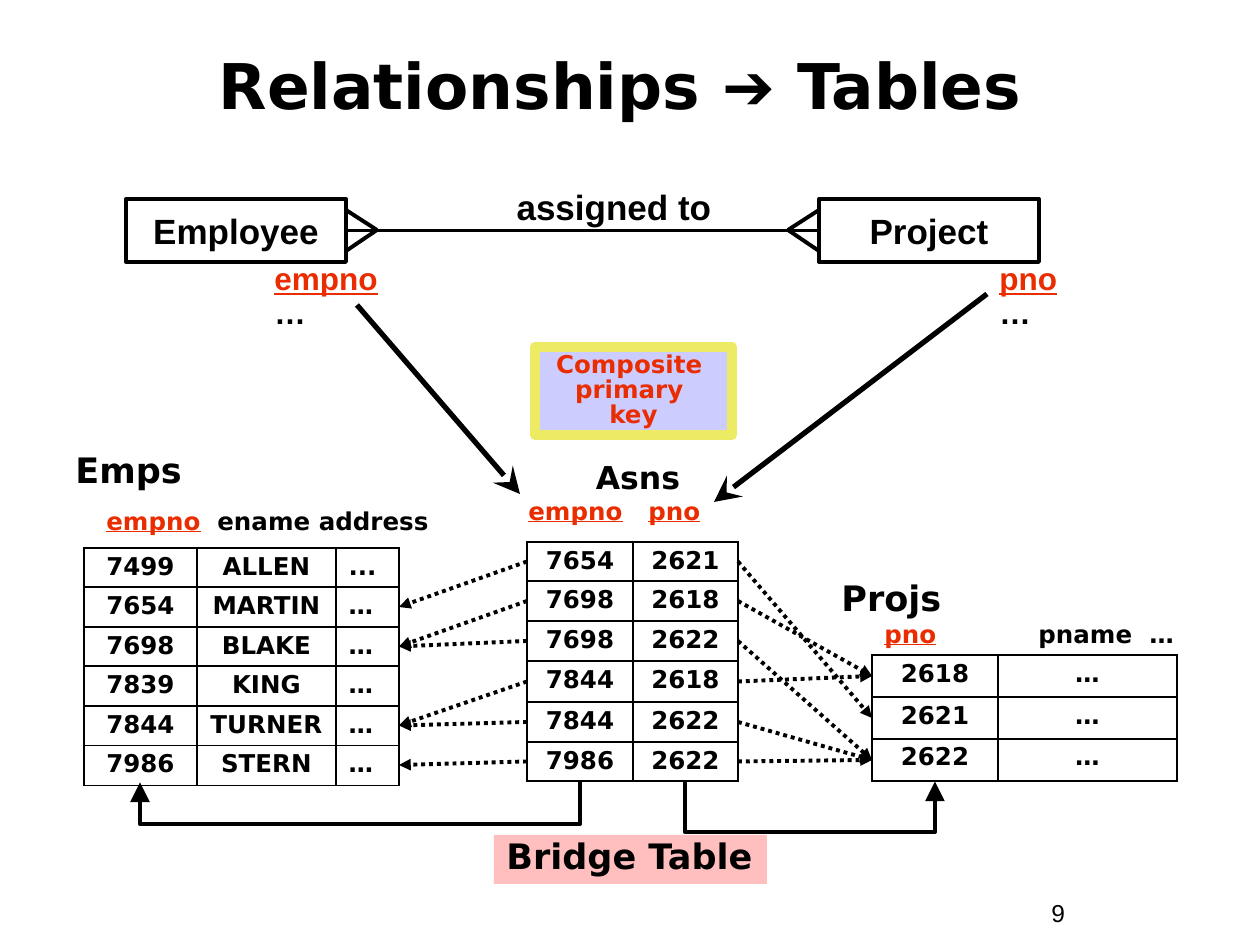
from itertools import accumulate

from lxml import etree
from pptx import Presentation
from pptx.dml.color import RGBColor
from pptx.enum.dml import MSO_LINE
from pptx.enum.shapes import MSO_CONNECTOR, MSO_SHAPE
from pptx.enum.text import MSO_ANCHOR, PP_ALIGN
from pptx.oxml.ns import qn
from pptx.util import Emu, Pt

PX = 914400 / 126
BLACK = RGBColor(0x00, 0x00, 0x00)
RED = RGBColor(0xEA, 0x2D, 0x00)
LILAC = RGBColor(0xCC, 0xCC, 0xFF)
YELLOW = RGBColor(0xED, 0xEA, 0x63)
PINK = RGBColor(0xFF, 0xBF, 0xBF)
SANS, ARIAL = "DejaVu Sans", "Arial"
LEFT, CENTER = PP_ALIGN.LEFT, PP_ALIGN.CENTER
TOP, MIDDLE = MSO_ANCHOR.TOP, MSO_ANCHOR.MIDDLE
STRAIGHT, ELBOW = MSO_CONNECTOR.STRAIGHT, MSO_CONNECTOR.ELBOW
RECTANGLE = MSO_SHAPE.RECTANGLE
DOTTED = MSO_LINE.ROUND_DOT
TOP_SIDE, LEFT_SIDE, BOTTOM_SIDE, RIGHT_SIDE = range(4)

EMPS = [["7499", "ALLEN", "..."], ["7654", "MARTIN", "…"], ["7698", "BLAKE", "…"],
        ["7839", "KING", "…"], ["7844", "TURNER", "…"], ["7986", "STERN", "…"]]
ASNS = [["7654", "2621"], ["7698", "2618"], ["7698", "2622"],
        ["7844", "2618"], ["7844", "2622"], ["7986", "2622"]]
PROJS = [["2618", "…"], ["2621", "…"], ["2622", "…"]]


def px(*lengths):
    return [Emu(round(length * PX)) for length in lengths]


def write(text_frame, pieces, size, font=SANS, align=LEFT, anchor=TOP, spacing=1.0,
          tabs=(), bold=True):
    """Write (text, is_key) pieces in one paragraph; keys are red and underlined."""
    text_frame.word_wrap = True
    text_frame.vertical_anchor = anchor
    paragraph = text_frame.paragraphs[0]
    paragraph.alignment = align
    paragraph.line_spacing = spacing
    if tabs:
        tab_list = etree.SubElement(paragraph._p.get_or_add_pPr(), qn("a:tabLst"))
        for position in px(*tabs):
            etree.SubElement(tab_list, qn("a:tab"), pos=str(position), algn="l")
    for text, is_key in pieces:
        if text == "\v":
            paragraph.add_line_break()
            continue
        run = paragraph.add_run()
        run.text = text
        run.font.name, run.font.size, run.font.bold = font, Pt(size), bold
        run.font.color.rgb = RED if is_key else BLACK
        run.font.underline = is_key
    return paragraph


def add_label(slide, box, pieces, size, **style):
    if isinstance(pieces, str):
        pieces = [(pieces, False)]
    write(slide.shapes.add_textbox(*px(*box)).text_frame, pieces, size, **style)


def add_box(slide, box, fill=None, line=None, width=0):
    shape = slide.shapes.add_shape(RECTANGLE, *px(*box))
    shape.shadow.inherit = False
    if fill is None:
        shape.fill.background()
    else:
        shape.fill.solid()
        shape.fill.fore_color.rgb = fill
    if line is None:
        shape.line.fill.background()
    else:
        shape.line.color.rgb = line
        shape.line.width = Pt(width)
    return shape


def add_line(slide, start, end, width=2.25, head=None, head_size="lg", dash=None, kind=STRAIGHT):
    connector = slide.shapes.add_connector(kind, *px(*start, *end))
    connector.line.color.rgb = BLACK
    connector.line.width = Pt(width)
    if dash:
        connector.line.dash_style = dash
    if head:
        etree.SubElement(connector.line._get_or_add_ln(), qn("a:tailEnd"),
                         type=head, w=head_size, len=head_size)
    etree.SubElement(connector._element.spPr, qn("a:effectLst"))
    return connector


def add_loop(slide, start_x, end_x, y, drop):
    """Arrow that goes down from start_x, across, and up to end_x."""
    middle, half = (start_x + end_x) / 2, abs(end_x - start_x) / 2
    # The upright frame is 1 px wide and is turned on its side.
    connector = add_line(slide, (middle - 0.5, y - half), (middle + 0.5, y + half),
                         head="triangle", kind=ELBOW)
    properties = connector._element.spPr
    frame = properties.find(qn("a:xfrm"))
    if start_x > end_x:
        frame.set("rot", "5400000")
    else:
        frame.set("rot", "16200000")
        frame.set("flipH", "1")
    guides = properties.find(qn("a:prstGeom")).find(qn("a:avLst"))
    etree.SubElement(guides, qn("a:gd"), name="adj1", fmla=f"val {drop * 100000}")


def add_grid(slide, left, top, columns, heights, rows, left_column=None):
    """Add a ruled table and return the y of each row's middle."""
    table = slide.shapes.add_table(len(rows), len(columns),
                                   *px(left, top, sum(columns), sum(heights))).table
    table.first_row = table.horz_banding = False
    for column, width in zip(table.columns, px(*columns)):
        column.width = width
    for row, height, values in zip(table.rows, px(*heights), rows):
        row.height = height
        for index, (cell, value) in enumerate(zip(row.cells, values)):
            align = LEFT if index == left_column else CENTER
            write(cell.text_frame, [(value, False)], 14, align=align, spacing=0.9)
            properties = cell._tc.get_or_add_tcPr()
            for side in ("lnL", "lnR", "lnT", "lnB"):
                border = etree.SubElement(properties, qn(f"a:{side}"), w=str(Pt(1.08)))
                fill = etree.SubElement(border, qn("a:solidFill"))
                etree.SubElement(fill, qn("a:srgbClr"), val=str(BLACK))
            cell.fill.background()
    return [top + bottom - height / 2 for bottom, height in zip(accumulate(heights), heights)]


def add_title(slide):
    title = slide.shapes.title
    title.left, title.top, title.width, title.height = px(32, 42, 1176, 84)
    pieces = [("Relationships ", False), ("➔", False), (" Tables", False)]
    paragraph = write(title.text_frame, pieces, 36, align=CENTER, anchor=MIDDLE)
    paragraph.runs[1].font.name = ARIAL


def add_entity(slide, left, top, name, key, key_left):
    shape = add_box(slide, (left, top, 220, 63), line=BLACK, width=2.25)
    write(shape.text_frame, [(name, False)], 20, ARIAL, CENTER, MIDDLE)
    add_label(slide, (key_left, top + 58, 147, 81),
              [(key, True), ("\v", False), ("…", False)], 18, font=ARIAL, spacing=0.9)
    return shape


def add_entity_diagram(slide, left, top):
    employee = add_entity(slide, left, top, "Employee", "empno", left + 136)
    project = add_entity(slide, left + 693, top, "Project", "pno", left + 861)
    middle = top + 31
    link = add_line(slide, (left + 220, middle), (left + 693, middle))
    link.begin_connect(employee, RIGHT_SIDE)
    link.end_connect(project, LEFT_SIDE)
    for edge, tip in ((left + 220, left + 251), (left + 693, left + 662)):
        for offset in (-20, 21):
            add_line(slide, (tip, middle), (edge, middle + offset))
    add_label(slide, (left + 357, top - 20, 262, 55), "assigned to", 20, font=ARIAL, align=CENTER)


def add_tables(slide):
    emps_y = add_grid(slide, 84, 548, [113, 139, 63], [39, 40] * 3, EMPS, left_column=2)
    asns_y = add_grid(slide, 527, 542, [106, 105], [39, 40, 40, 41, 40, 39], ASNS)
    projs_y = add_grid(slide, 872, 655, [126, 179], [42] * 3, PROJS)
    emp_rows = {row[0]: y for row, y in zip(EMPS, emps_y)}
    proj_rows = {row[0]: y for row, y in zip(PROJS, projs_y)}
    for (empno, pno), y in zip(ASNS, asns_y):
        for start_x, end_x, end_y in ((527, 399, emp_rows[empno]), (738, 872, proj_rows[pno])):
            add_line(slide, (start_x, y), (end_x, end_y),
                     head="triangle", head_size="med", dash=DOTTED)

    add_label(slide, (63, 442, 271, 55), "Emps", 20)
    add_label(slide, (94, 500, 455, 43),
              [("empno", True), ("\tename address", False)], 14, tabs=[111])
    add_label(slide, (495, 452, 286, 50), "Asns", 18, align=CENTER)
    add_label(slide, (516, 490, 242, 43),
              [("empno", True), ("\t", False), ("pno", True)], 14, tabs=[120])
    add_label(slide, (829, 570, 210, 55), "Projs", 20)
    add_label(slide, (872, 613, 336, 43),
              [("pno", True), ("\tpname\t…", False)], 14, tabs=[154, 265])


def add_notes_on_bridge(slide):
    for start, end in (((987, 294), (714, 502)), ((357, 305), (520, 494))):
        add_line(slide, start, end, width=3, head="stealth")
    note = add_box(slide, (535, 347, 197, 88), LILAC, YELLOW, 6)
    pieces = [("Composite ", False), ("\v", False), ("primary ", False),
              ("\v", False), ("key", False)]
    paragraph = write(note.text_frame, pieces, 14, align=CENTER, spacing=0.85)
    for run in paragraph.runs:
        run.font.color.rgb = RED
    bridge = add_box(slide, (494, 835, 273, 49), PINK)
    write(bridge.text_frame, [("Bridge Table", False)], 20, spacing=0.85)
    add_loop(slide, 685, 935, 781, 52)
    add_loop(slide, 580, 140, 782, 43)


def main():
    presentation = Presentation()
    presentation.slide_width, presentation.slide_height = px(1260, 945)
    slide = presentation.slides.add_slide(presentation.slide_layouts[5])
    add_title(slide)
    add_entity_diagram(slide, 126, 199)
    add_tables(slide)
    add_notes_on_bridge(slide)
    add_label(slide, (1039, 892, 116, 43), "9", 14, font=ARIAL, bold=False)
    presentation.save("out.pptx")


if __name__ == "__main__":
    main()
